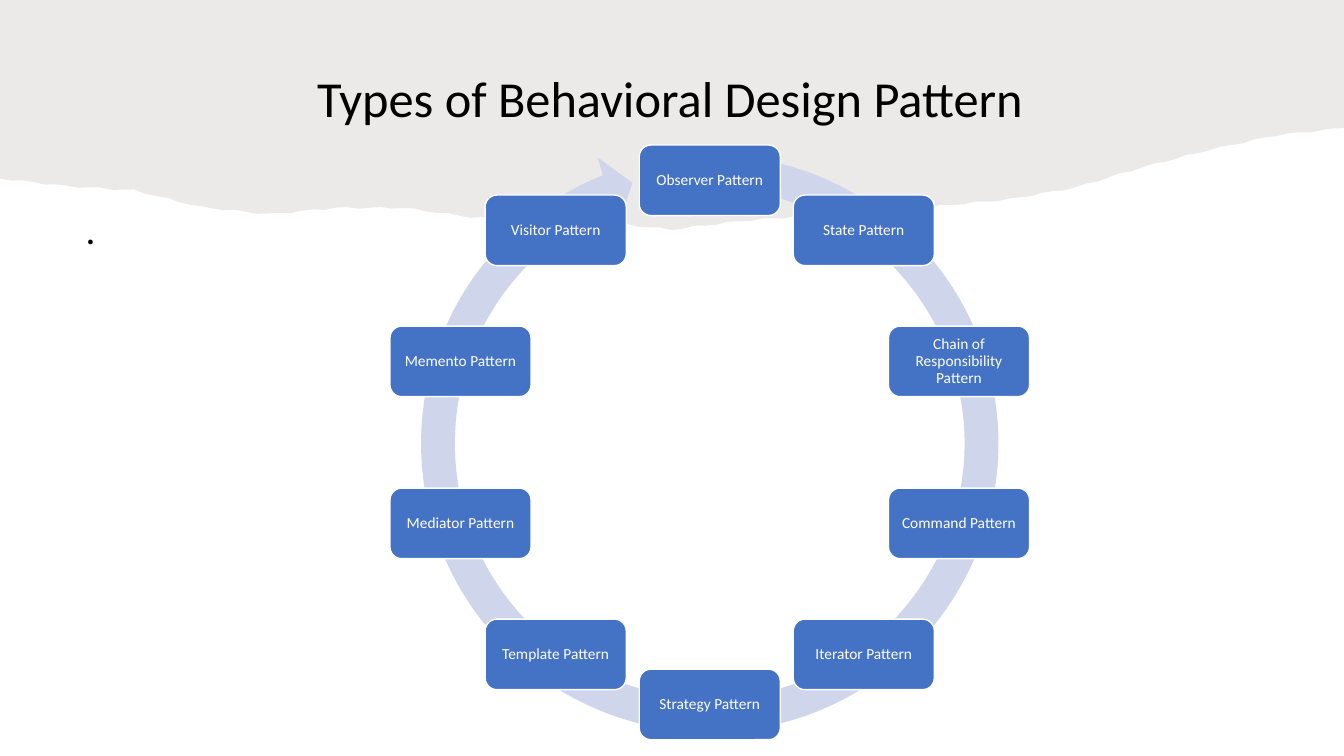
from math import cos, sin, pi
from lxml.etree import SubElement
from pptx import Presentation
from pptx.dml.color import RGBColor
from pptx.enum.shapes import MSO_SHAPE
from pptx.enum.text import MSO_ANCHOR, MSO_AUTO_SIZE, PP_ALIGN
from pptx.oxml.ns import qn
from pptx.util import Pt

BLACK, WHITE, BLUE, PALE, TAUPE = "000000", "FFFFFF", "4472C4", "CFD5EA", "82766A"


def paint(fill, hue):
    fill.solid()
    fill.fore_color.rgb = RGBColor.from_string(hue)


def write(shape, text, size, hue, align, anchor):
    frame = shape.text_frame
    frame.text = text
    frame.word_wrap = True
    frame.auto_size = MSO_AUTO_SIZE.NONE
    frame.vertical_anchor = anchor
    para = frame.paragraphs[0]
    para.alignment = align
    para.line_spacing = 0.9
    para.font.name = "Calibri"
    para.font.size = Pt(size)
    paint(para.font.fill, hue)
    return para


page_w, page_h = 960, 540
deck = Presentation()
deck.slide_width, deck.slide_height = Pt(page_w), Pt(page_h)
slide = deck.slides.add_slide(deck.slide_layouts[1])
title, body = slide.placeholders

depths = [127.5, 133, 136, 148, 153, 148.5, 148.5, 155, 159.5, 159, 164,
          158, 154, 152, 147, 142.5, 134, 119.5, 107, 96.5, 91.5]
gap = page_w / (len(depths) - 1)
parts = 6
ripple = 0.7

edge = []
for span, (start, end) in enumerate(zip(depths, depths[1:])):
    for part in range(parts):
        share = part / parts
        depth = start + (end - start) * share
        tear = ripple * sin(2 * (span * parts + part))
        edge.append((Pt(gap * (span + share)), Pt(depth + tear)))
edge.append((Pt(page_w), Pt(depths[-1])))

draft = slide.shapes.build_freeform(0, 0)
draft.add_line_segments(edge + [(Pt(page_w), 0)])
paper = draft.convert_to_shape()
paper.shadow.inherit = False
paper.line.fill.background()
paint(paper.fill, TAUPE)
tint = next(paper.element.iter(qn("a:srgbClr")))
SubElement(tint, qn("a:alpha"), val="15000")
title.element.addprevious(paper.element)

title.left, title.top, title.width, title.height = Pt(64), Pt(31.7), Pt(829.4), Pt(64)
write(title, "Types of Behavioral Design Pattern", 36, BLACK,
      PP_ALIGN.CENTER, MSO_ANCHOR.BOTTOM)

body.left, body.top, body.width, body.height = Pt(54), Pt(146.9), Pt(828), Pt(342.7)
para = write(body, ".", 28, BLACK, PP_ALIGN.LEFT, MSO_ANCHOR.TOP)
para.space_before = Pt(10)
props = para._p.get_or_add_pPr()
props.set("marL", "0")
props.set("indent", "0")
SubElement(props, qn("a:buNone"))

names = ["Observer", "State", "Chain of Responsibility", "Command", "Iterator",
         "Strategy", "Template", "Mediator", "Memento", "Visitor"]
mid_x, mid_y, radius = 507, 316, 187.2
wide, high = 100.8, 50.4
side = 439.2

cycle = slide.shapes.add_group_shape().shapes
arrow = cycle.add_shape(MSO_SHAPE.CIRCULAR_ARROW, Pt(mid_x - side / 2),
                        Pt(mid_y + 0.8 - side / 2), Pt(side), Pt(side))
arrow.shadow.inherit = False
arrow.line.fill.background()
paint(arrow.fill, PALE)
band, tip, finish, begin, head = 0.055, 3.307, 148.775, 167.457, 0.058
for spot, value in enumerate([band, tip, finish, begin, head]):
    arrow.adjustments[spot] = value

for step, name in enumerate(names):
    turn = 2 * pi * step / len(names)
    left = mid_x + radius * sin(turn) - wide / 2
    top = mid_y - radius * cos(turn) - high / 2
    box = cycle.add_shape(MSO_SHAPE.ROUNDED_RECTANGLE, Pt(left), Pt(top), Pt(wide), Pt(high))
    box.shadow.inherit = False
    paint(box.fill, BLUE)
    paint(box.line.fill, WHITE)
    box.line.width = Pt(1)
    frame = box.text_frame
    frame.margin_left = frame.margin_right = Pt(6)
    frame.margin_top = frame.margin_bottom = Pt(4)
    write(box, f"{name} Pattern", 11, WHITE, PP_ALIGN.CENTER, MSO_ANCHOR.MIDDLE)

deck.save("out.pptx")
